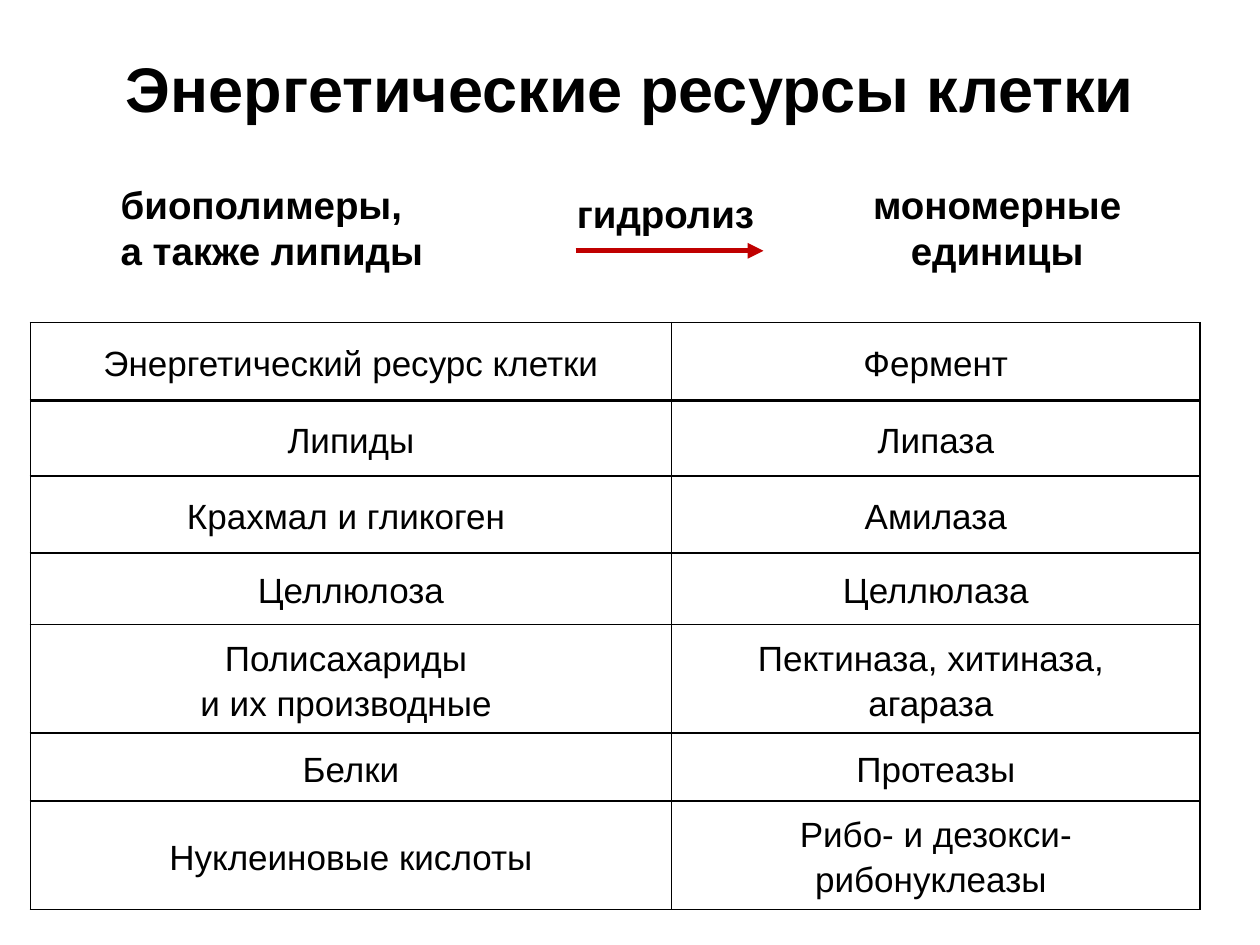
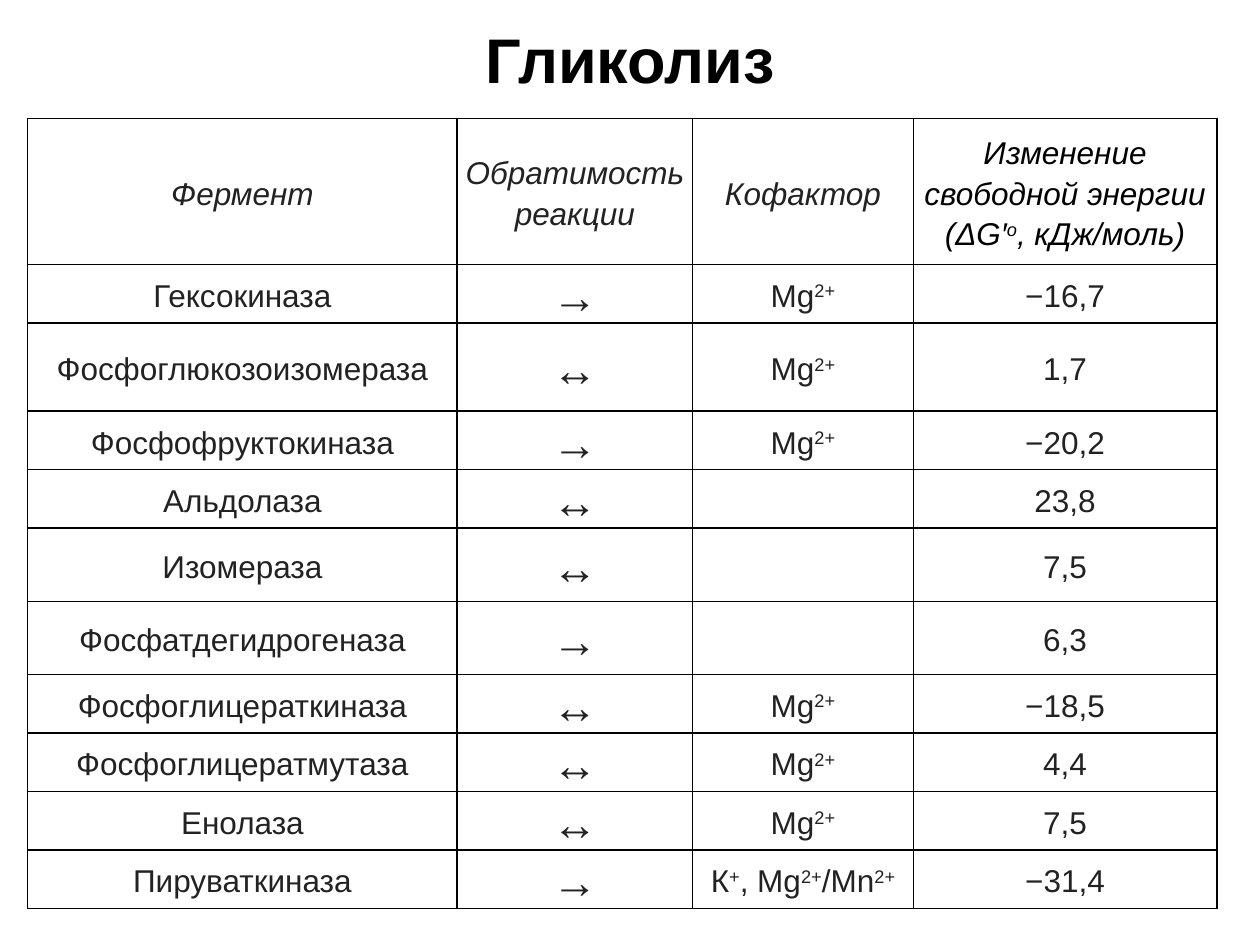
from lxml.etree import SubElement
from pptx import Presentation
from pptx.dml.color import RGBColor
from pptx.enum.shapes import MSO_CONNECTOR
from pptx.enum.text import MSO_ANCHOR, MSO_AUTO_SIZE, PP_ALIGN
from pptx.oxml.ns import qn
from pptx.util import Pt

BLACK = RGBColor(0x00, 0x00, 0x00)
CHARCOAL = RGBColor(0x22, 0x22, 0x22)
RED = RGBColor(0xC0, 0x00, 0x00)
FONT = "Arial"
SLIDE_WIDTH, SLIDE_HEIGHT = 720, 540
TITLE_HEIGHT = 51
THIN, THICK = 1, 2.25

RESOURCES_TITLE = "Энергетические ресурсы клетки"
HYDROLYSIS = [
    ("биополимеры,\nа также липиды", (61.9, 100.1, 411, 60.5), True, [PP_ALIGN.LEFT, PP_ALIGN.LEFT]),
    ("мономерные\n единицы ", (491.8, 100.1, 160.6, 60.5), False, [PP_ALIGN.LEFT, PP_ALIGN.CENTER]),
    ("гидролиз", (322.6, 105.1, 116.6, 33.8), False, [PP_ALIGN.LEFT]),
]
HYDROLYSIS_ARROW = (329, 143.3, 436.3, 143.3)
RESOURCES = [
    ("Энергетический ресурс клетки", "Фермент"),
    ("Липиды", "Липаза"),
    ("Крахмал и гликоген ", "Амилаза"),
    ("Целлюлоза", "Целлюлаза"),
    ("Полисахариды \nи их производные ", "Пектиназа, хитиназа, \nагараза "),
    ("Белки", "Протеазы"),
    ("Нуклеиновые кислоты", "Рибо- и дезокси-\nрибонуклеазы "),
]
RESOURCE_COLUMNS = [366.5, 302]
RESOURCE_ROWS = [44.6, 43.2, 43.9, 41, 61.9, 38.9, 61.9]

GLYCOLYSIS_TITLE = "Гликолиз"
FORWARD, REVERSIBLE = "→", "↔"
MAGNESIUM = "Mg^2+"
GLYCOLYSIS = [
    ("Фермент", "Обратимость реакции", "Кофактор",
     "Изменение свободной энергии\v(ΔG′^о^, кДж/моль)"),
    ("Гексокиназа", FORWARD, MAGNESIUM, "−16,7"),
    ("Фосфоглюкозоизомераза", REVERSIBLE, MAGNESIUM, "1,7"),
    ("Фосфофруктокиназа", FORWARD, MAGNESIUM, "−20,2"),
    ("Альдолаза", REVERSIBLE, "", "23,8"),
    ("Изомераза", REVERSIBLE, "", "7,5"),
    ("Фосфатдегидрогеназа", FORWARD, "", "6,3"),
    ("Фосфоглицераткиназа", REVERSIBLE, MAGNESIUM, "−18,5"),
    ("Фосфоглицератмутаза", REVERSIBLE, MAGNESIUM, "4,4"),
    ("Енолаза", REVERSIBLE, MAGNESIUM, "7,5"),
    ("Пируваткиназа", FORWARD, "К^+^, Mg^2+^/Mn^2+", "−31,4"),
]
GLYCOLYSIS_COLUMNS = [245.5, 134.6, 126, 173.5]
GLYCOLYSIS_ROWS = [83.5, 28.8, 50.4, 28.8, 28.8, 41.8, 41.8, 28.8, 28.8, 28.8, 32.4]


def add_run(paragraph, text, size, color=BLACK, bold=False, italic=False, raised=False):
    run = paragraph.add_run()
    run.text = text
    run.font.name, run.font.size = FONT, Pt(size)
    run.font.bold, run.font.italic = bold, italic
    run.font.color.rgb = color
    if raised:
        run.font._element.set("baseline", "30000")


def paragraphs_for(frame, text):
    for index, line in enumerate(text.split("\n")):
        yield (frame.add_paragraph() if index else frame.paragraphs[0]), line


def add_titled_slide(deck, title, top):
    slide = deck.slides.add_slide(deck.slide_layouts[5])
    heading = slide.shapes.title
    heading.left, heading.top = Pt(0), Pt(top)
    heading.width, heading.height = Pt(SLIDE_WIDTH), Pt(TITLE_HEIGHT)
    frame = heading.text_frame
    frame.vertical_anchor = MSO_ANCHOR.TOP
    frame.auto_size = MSO_AUTO_SIZE.NONE
    frame.paragraphs[0].alignment = PP_ALIGN.CENTER
    add_run(frame.paragraphs[0], title, 36, bold=True)
    return slide


def add_label(slide, text, box, wrap, alignments):
    frame = slide.shapes.add_textbox(*map(Pt, box)).text_frame
    frame.word_wrap = wrap
    frame.auto_size = MSO_AUTO_SIZE.SHAPE_TO_FIT_TEXT
    for (paragraph, line), alignment in zip(paragraphs_for(frame, text), alignments):
        paragraph.alignment = alignment
        add_run(paragraph, line, 22, bold=True)


def add_arrow(slide, ends):
    arrow = slide.shapes.add_connector(MSO_CONNECTOR.STRAIGHT, *map(Pt, ends))
    arrow.line.color.rgb = RED
    arrow.line.width = Pt(3)
    SubElement(arrow.line._get_or_add_ln(), qn("a:tailEnd"), type="triangle")
    SubElement(arrow._element.spPr, qn("a:effectLst"))


def draw_borders(cell, top, bottom):
    properties = cell._tc.get_or_add_tcPr()
    for side, width in (("lnL", THIN), ("lnR", THIN), ("lnT", top), ("lnB", bottom)):
        border = SubElement(properties, qn(f"a:{side}"), w=str(Pt(width)))
        fill = SubElement(border, qn("a:solidFill"))
        SubElement(fill, qn("a:srgbClr"), val=str(BLACK))


def fill_cell(cell, text, inset, style):
    cell.fill.background()
    cell.vertical_anchor = MSO_ANCHOR.MIDDLE
    cell.margin_left = cell.margin_right = Pt(inset)
    cell.margin_top = cell.margin_bottom = Pt(0)
    for paragraph, line in paragraphs_for(cell.text_frame, text):
        paragraph.alignment = PP_ALIGN.CENTER
        paragraph.line_spacing = 1.15
        for position, part in enumerate(line.split("^")):
            for break_count, piece in enumerate(part.split("\v")):
                if break_count:
                    paragraph.add_line_break()
                if piece:
                    add_run(paragraph, piece, raised=position % 2 == 1, **style)


def add_grid(slide, content, left, top, columns, rows, inset, header_rule, style_for):
    table = slide.shapes.add_table(
        len(rows), len(columns), Pt(left), Pt(top), Pt(sum(columns)), Pt(sum(rows))).table
    table.first_row = table.horz_banding = False
    for column, width in zip(table.columns, columns):
        column.width = Pt(width)
    for r, height in enumerate(rows):
        table.rows[r].height = Pt(height)
        for c, text in enumerate(content[r]):
            cell = table.cell(r, c)
            draw_borders(cell, header_rule if r == 1 else THIN, header_rule if r == 0 else THIN)
            fill_cell(cell, text, inset, style_for(r, c))


def resource_style(row, column):
    return {"size": 20}


def glycolysis_style(row, column):
    return {
        "size": 26 if row and column == 1 else 18,
        "color": BLACK if (row, column) == (0, 3) else CHARCOAL,
        "italic": row == 0,
    }


def main():
    deck = Presentation()
    deck.slide_width, deck.slide_height = Pt(SLIDE_WIDTH), Pt(SLIDE_HEIGHT)

    resources = add_titled_slide(deck, RESOURCES_TITLE, 24.5)
    for label in HYDROLYSIS:
        add_label(resources, *label)
    add_arrow(resources, HYDROLYSIS_ARROW)
    add_grid(resources, RESOURCES, 17.3, 184.3, RESOURCE_COLUMNS, RESOURCE_ROWS,
             5, THICK, resource_style)

    glycolysis = add_titled_slide(deck, GLYCOLYSIS_TITLE, 7.9)
    add_grid(glycolysis, GLYCOLYSIS, 15.8, 67.7, GLYCOLYSIS_COLUMNS, GLYCOLYSIS_ROWS,
             4.3, THIN, glycolysis_style)

    deck.save("out.pptx")


if __name__ == "__main__":
    main()
